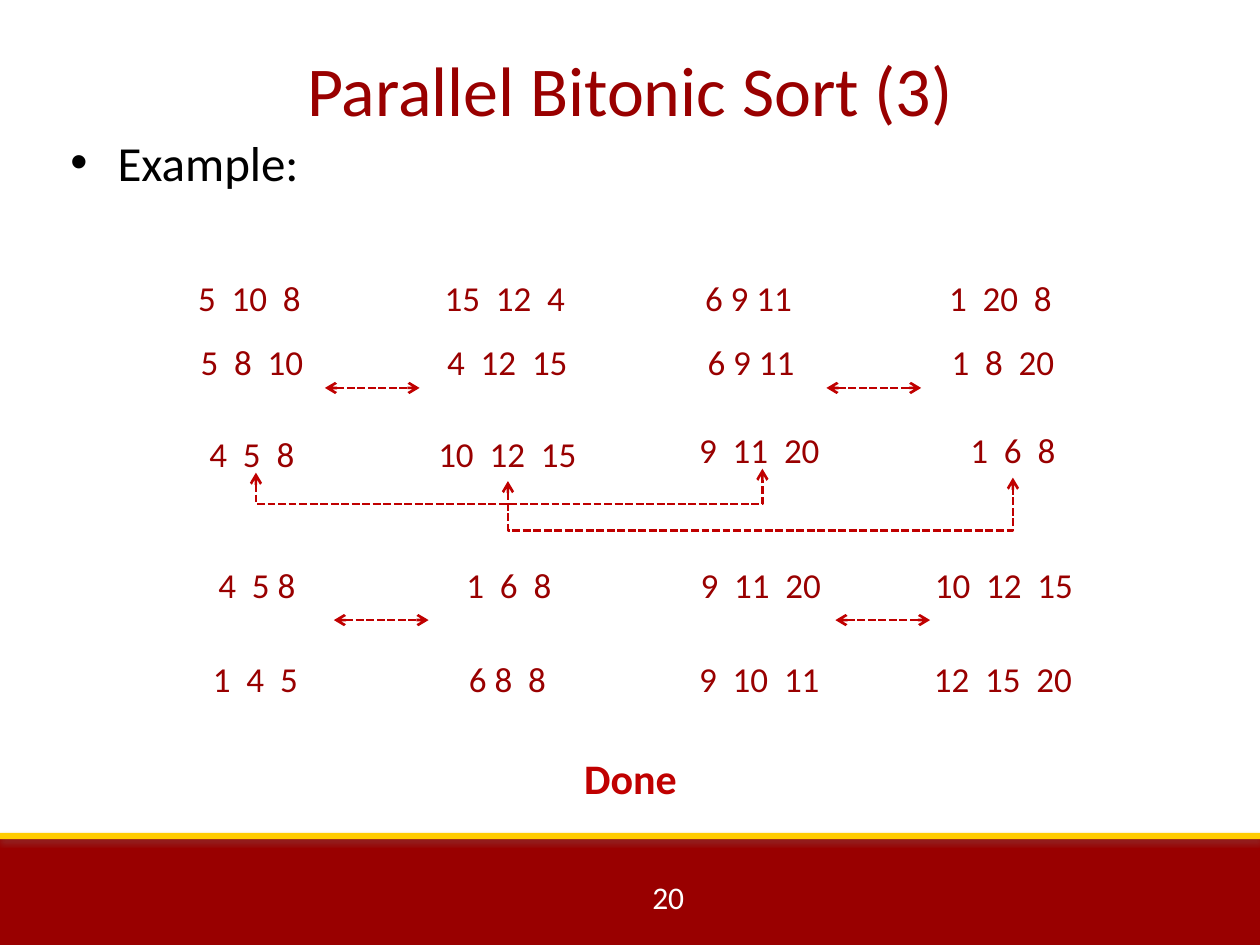
from lxml.etree import SubElement
from pptx import Presentation
from pptx.dml.color import RGBColor
from pptx.enum.dml import MSO_LINE
from pptx.enum.shapes import MSO_CONNECTOR, MSO_SHAPE
from pptx.enum.text import MSO_ANCHOR, MSO_AUTO_SIZE, PP_ALIGN
from pptx.oxml.ns import qn
from pptx.util import Cm, Pt

DARK_RED, RED, GOLD = "990000", "C00000", "FFCC00"
BLACK, WHITE, GREY = "000000", "FFFFFF", "808080"
CELL_WIDTH, CELL_HEIGHT = 5.28, 1.12

# Top of each step, then the left edge and the numbers of each processor
STEPS = [
    (5.44, [(2.39, "5  10  8"), (7.54, "15  12  4"), (12.45, "6 9 11"), (17.53, "1  20  8")]),
    (6.73, [(2.44, "5  8  10"), (7.59, "4  12  15"), (12.5, "6 9 11"), (17.58, "1  8  20")]),
    (8.59, [(2.44, "4  5  8"), (7.59, "10  12  15")]),
    (8.51, [(12.67, "9  11  20"), (17.78, "1  6  8")]),
    (11.23, [(2.54, "4  5 8"), (7.62, "1  6  8"), (12.7, "9  11  20"), (17.6, "10  12  15")]),
    (13.13, [(2.51, "1  4  5"), (7.59, "6 8  8"), (12.67, "9  10  11"), (17.58, "12  15  20")]),
]
# Left, y of the exchanges between neighbours
NEIGHBOUR_EXCHANGES = [(6.55, 7.82), (16.66, 7.82), (6.73, 12.5), (16.84, 12.5)]
EXCHANGE_LENGTH = 1.91
# Start x, start y, end x, end y, y of the horizontal run
DISTANT_EXCHANGES = [
    (10.24, 9.7, 20.42, 9.63, 10.69),
    (5.16, 9.53, 15.37, 9.45, 10.16),
]


def color(hex_string):
    return RGBColor.from_string(hex_string)


def add_text(slide, box, text, size, hex_color, align=PP_ALIGN.CENTER, bold=False, wrap=True):
    shape = slide.shapes.add_textbox(*map(Cm, box))
    frame = shape.text_frame
    frame.text = text
    frame.word_wrap = wrap
    paragraph = frame.paragraphs[0]
    paragraph.alignment = align
    font = paragraph.runs[0].font
    font.name, font.size, font.bold = "Calibri", Pt(size), bold
    font.color.rgb = color(hex_color)
    return shape


def add_bar(slide, box, hex_color, opacity, distance):
    """Add a filled bar that casts a soft grey shadow downwards."""
    bar = slide.shapes.add_shape(MSO_SHAPE.RECTANGLE, *map(Cm, box))
    bar.fill.solid()
    bar.fill.fore_color.rgb = color(hex_color)
    bar.line.fill.background()
    bar.shadow.inherit = False
    effects = bar._element.spPr.find(qn("a:effectLst"))
    shadow = SubElement(effects, qn("a:outerShdw"), blurRad=str(Pt(3.1)),
                        dist=str(Pt(distance)), dir="5400000", rotWithShape="0")
    shade = SubElement(shadow, qn("a:srgbClr"), val=GREY)
    SubElement(shade, qn("a:alpha"), val=str(opacity * 1000))


def add_footer(slide, box):
    left, top, width, height = box
    add_bar(slide, (left, top + 0.08, width, height - 0.08), DARK_RED, 35, 1.8)
    add_bar(slide, (left, top, width, 0.13), GOLD, 38, 1.6)
    add_text(slide, (left + 12.9, top + 0.79, 1.27, 1.02), "20", 18, WHITE,
             PP_ALIGN.LEFT, wrap=False)


def add_heading(slide, box):
    left, top, width, height = box
    title = add_text(slide, box, "Parallel Bitonic Sort (3)", 40, DARK_RED)
    title.text_frame.vertical_anchor = MSO_ANCHOR.MIDDLE
    body = add_text(slide, (left - 0.1, top + 2.34, width + 0.64, 2.54), "Example:", 28,
                    BLACK, PP_ALIGN.LEFT)
    properties = body.text_frame.paragraphs[0]._p.get_or_add_pPr()
    properties.set("marL", str(Cm(0.95)))
    properties.set("indent", str(-Cm(0.95)))
    SubElement(properties, qn("a:buFont"), typeface="Arial")
    SubElement(properties, qn("a:buChar"), char="•")


def add_exchange(slide, kind, start_x, start_y, end_x, end_y):
    """Add a dashed connector with an arrowhead at both ends."""
    connector = slide.shapes.add_connector(kind, *map(Cm, (start_x, start_y, end_x, end_y)))
    line = connector.line
    line.color.rgb = color(RED)
    line.width = Pt(1.5)
    line.dash_style = MSO_LINE.SQUARE_DOT
    outline = line._get_or_add_ln()
    for end in ("a:headEnd", "a:tailEnd"):
        SubElement(outline, qn(end), type="arrow")
    SubElement(connector._element.spPr, qn("a:effectLst"))
    return connector


def add_distant_exchange(slide, start_x, start_y, end_x, end_y, run_y):
    """Add a U-shaped exchange: an elbow connector turned by a quarter about its centre."""
    center_x, center_y = (start_x + end_x) / 2, (start_y + end_y) / 2
    half_width, half_height = (start_y - end_y) / 2, (end_x - start_x) / 2
    elbow = add_exchange(slide, MSO_CONNECTOR.ELBOW,
                         center_x + half_width, center_y + half_height,
                         center_x - half_width, center_y - half_height)
    elbow.rotation = 90
    bend = (start_y - run_y) / (start_y - end_y)
    guides = elbow._element.spPr.find(qn("a:prstGeom")).get_or_add_avLst()
    SubElement(guides, qn("a:gd"), name="adj1", fmla=f"val {round(bend * 100000)}")


def add_sort_steps(slide, left, top):
    for step_top, cells in STEPS:
        for cell_left, numbers in cells:
            box = (left + cell_left, top + step_top, CELL_WIDTH, CELL_HEIGHT)
            cell = add_text(slide, box, numbers, 20, DARK_RED)
            cell.text_frame.auto_size = MSO_AUTO_SIZE.SHAPE_TO_FIT_TEXT
    for x, y in NEIGHBOUR_EXCHANGES:
        add_exchange(slide, MSO_CONNECTOR.STRAIGHT, left + x, top + y,
                     left + x + EXCHANGE_LENGTH, top + y)
    for start_x, start_y, end_x, end_y, run_y in DISTANT_EXCHANGES:
        add_distant_exchange(slide, left + start_x, top + start_y,
                             left + end_x, top + end_y, top + run_y)
    add_text(slide, (left + 10.21, top + 15.04, 5, 1.27), "Done", 24, RED, bold=True)


def main():
    presentation = Presentation()
    presentation.slide_width, presentation.slide_height = Cm(25.4), Cm(19.05)
    slide = presentation.slides.add_slide(presentation.slide_layouts[6])
    add_footer(slide, (0, 16.79, 25.4, 2.26))
    add_heading(slide, (1.27, 0.2, 22.86, 3.18))
    add_sort_steps(slide, 0, 0)
    presentation.save("out.pptx")


if __name__ == "__main__":
    main()
